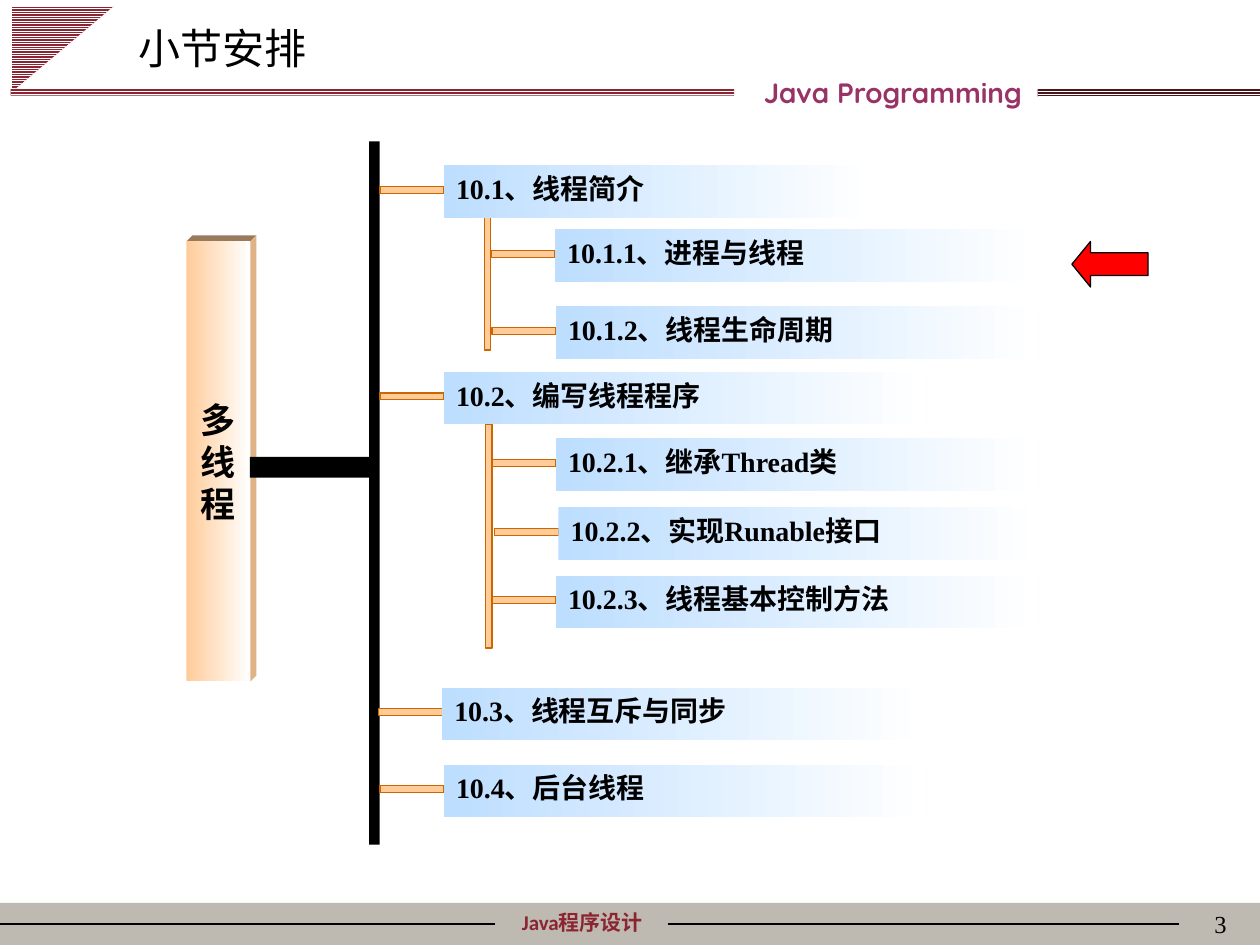
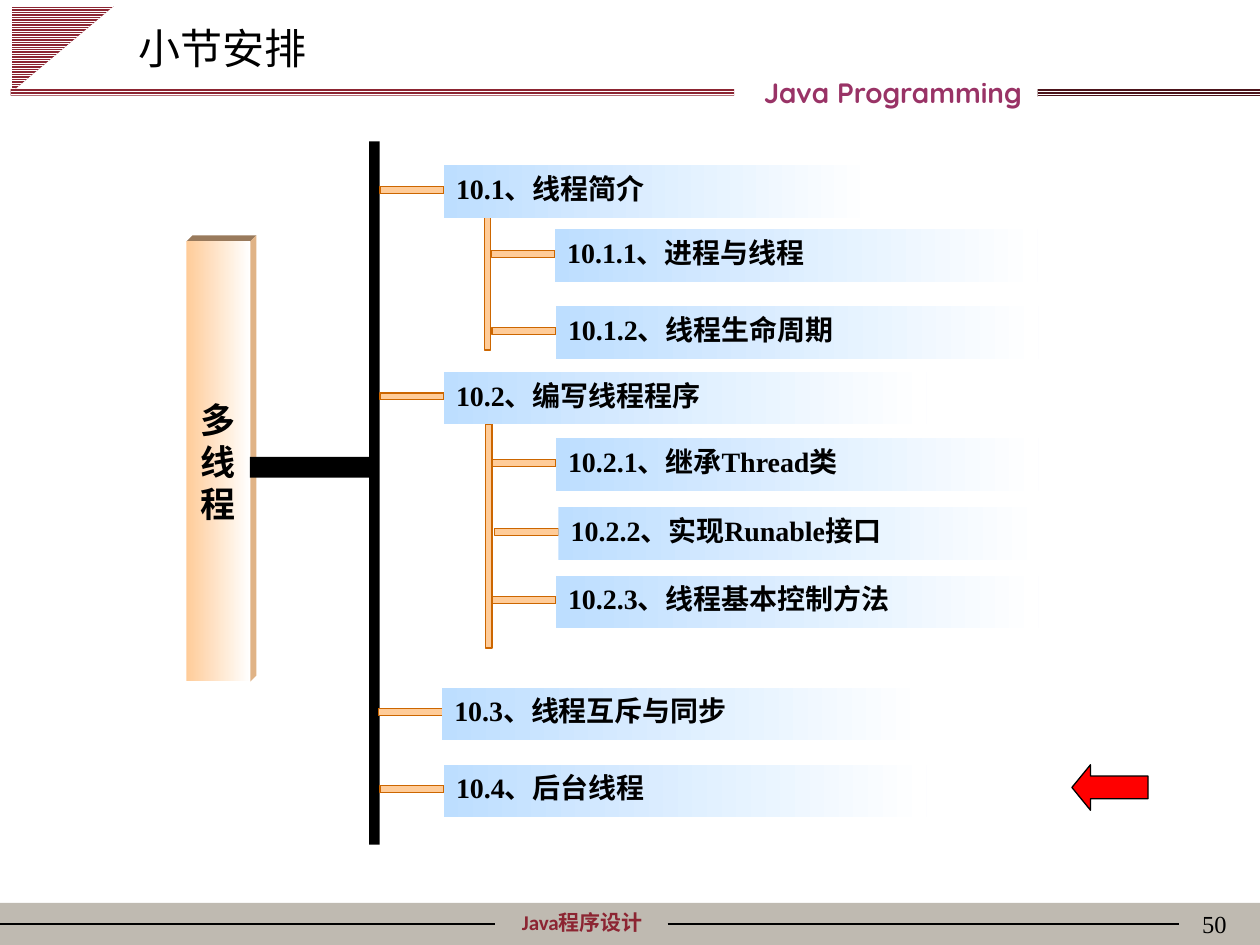
from dataclasses import dataclass

from lxml import etree
from pptx import Presentation
from pptx.dml.color import RGBColor
from pptx.enum.dml import MSO_PATTERN
from pptx.enum.lang import MSO_LANGUAGE_ID
from pptx.enum.shapes import MSO_CONNECTOR, MSO_SHAPE
from pptx.enum.text import MSO_ANCHOR, MSO_AUTO_SIZE, PP_ALIGN
from pptx.oxml.ns import qn
from pptx.util import Pt

RECT, ARROW, TRIANGLE = MSO_SHAPE.RECTANGLE, MSO_SHAPE.LEFT_ARROW, MSO_SHAPE.RIGHT_TRIANGLE
LEFT, CENTER, RIGHT, JUSTIFY = PP_ALIGN.LEFT, PP_ALIGN.CENTER, PP_ALIGN.RIGHT, PP_ALIGN.JUSTIFY
TOP, MIDDLE = MSO_ANCHOR.TOP, MSO_ANCHOR.MIDDLE
STRAIGHT = MSO_CONNECTOR.STRAIGHT
STRIPES = MSO_PATTERN.LIGHT_HORIZONTAL
NO_AUTOFIT = MSO_AUTO_SIZE.NONE
CHINESE = MSO_LANGUAGE_ID.SIMPLIFIED_CHINESE

BLACK = RGBColor(0x00, 0x00, 0x00)
WHITE = RGBColor(0xFF, 0xFF, 0xFF)
RED = RGBColor(0xFF, 0x00, 0x00)
WINE = RGBColor(0x8C, 0x25, 0x32)
DARK_WINE = RGBColor(0x4C, 0x14, 0x1B)
PLUM = RGBColor(0x99, 0x33, 0x66)
GREY = RGBColor(0xBF, 0xBA, 0xB1)
PEACH = RGBColor(0xFF, 0xCC, 0x99)
ORANGE = RGBColor(0xCC, 0x66, 0x00)
ROOT_TOP = RGBColor(0x99, 0x7A, 0x5C)
ROOT_SIDE = RGBColor(0xE0, 0xB3, 0x86)
SKY = RGBColor(0xBD, 0xDE, 0xFF)

SERIF, SANS, CJK, BRANDING = "Times New Roman", "Calibri", "Noto Sans CJK SC", "Quicksand"


@dataclass(frozen=True)
class Box:
    left: float
    top: float
    width: float
    height: float

    def lengths(self) -> tuple:
        return Pt(self.left), Pt(self.top), Pt(self.width), Pt(self.height)


@dataclass(frozen=True)
class Style:
    font: str
    size: float
    color: RGBColor = BLACK
    bold: bool = True
    align: int = LEFT


@dataclass(frozen=True)
class Topic:
    text: str
    left: float
    top: float
    width: float = 276


@dataclass(frozen=True)
class Agenda:
    page: str
    arrow_top: float


TITLE = Style(CJK, 24, bold=False)
FOOTER = Style(SANS, 12, WINE, align=CENTER)
COURSE = Style(BRANDING, 16, PLUM, align=CENTER)
PAGE = Style(SERIF, 14, bold=False, align=RIGHT)
ROOT = Style(SERIF, 20, align=CENTER)
TOPIC = Style(SERIF, 16, align=JUSTIFY)

TOPICS = [
    Topic("10.1、线程简介", 253.5, 94.5, 245.5),
    Topic("10.1.1、进程与线程", 317, 131),
    Topic("10.1.2、线程生命周期", 317.5, 175),
    Topic("10.2、编写线程程序", 253.5, 212.5),
    Topic("10.2.1、继承Thread类", 317.5, 250.5),
    Topic("10.2.2、实现Runable接口", 319, 290),
    Topic("10.2.3、线程基本控制方法", 317.5, 329),
    Topic("10.3、线程互斥与同步", 252.5, 393),
    Topic("10.4、后台线程", 253.5, 437),
]
SUB_SPINES = [Box(276.75, 123, 3.6, 77), Box(277.5, 242.25, 3.6, 128)]
ROOT_BOX = Box(106.5, 138, 36.5, 251.5)
DEPTH = 3.5
AGENDAS = [Agenda("3", 138), Agenda("50", 437)]


def put_text(shape, text: str, style: Style, anchor: int = TOP) -> None:
    tf = shape.text_frame
    tf.text = text
    tf.word_wrap = True
    tf.auto_size = NO_AUTOFIT
    tf.vertical_anchor = anchor
    p = tf.paragraphs[0]
    p.alignment = style.align
    font = p.runs[0].font
    font.name, font.size, font.bold = style.font, Pt(style.size), style.bold
    font.color.rgb = style.color
    font.language_id = CHINESE


def add_label(s, box: Box, text: str, style: Style) -> None:
    put_text(s.shapes.add_textbox(*box.lengths()), text, style)


def add_plain(s, box: Box, kind: int = RECT):
    sp = s.shapes.add_shape(kind, *box.lengths())
    sp.shadow.inherit = False
    sp.line.fill.background()
    return sp


def add_solid(s, box: Box, fill: RGBColor, line: RGBColor | None = None, kind: int = RECT):
    sp = add_plain(s, box, kind)
    sp.fill.solid()
    sp.fill.fore_color.rgb = fill
    if line is not None:
        sp.line.color.rgb = line
        sp.line.width = Pt(0.75)
    return sp


def add_striped(s, box: Box, color: RGBColor, kind: int = RECT):
    sp = add_plain(s, box, kind)
    sp.fill.patterned()
    sp.fill.pattern = STRIPES
    sp.fill.fore_color.rgb = WHITE
    sp.fill.back_color.rgb = color
    return sp


def add_faded(s, box: Box, color: RGBColor):
    sp = add_plain(s, box)
    sp.fill.gradient()
    sp.fill.gradient_angle = 0
    for stop, rgb in zip(sp.fill.gradient_stops, (color, WHITE)):
        stop.color.rgb = rgb
    return sp


def add_face(s, points: list[tuple[float, float]], color: RGBColor) -> None:
    corners = [(Pt(x), Pt(y)) for x, y in points]
    builder = s.shapes.build_freeform(*corners[0])
    builder.add_line_segments(corners[1:], close=True)
    sp = builder.convert_to_shape()
    sp.shadow.inherit = False
    sp.fill.solid()
    sp.fill.fore_color.rgb = color
    sp.line.fill.background()


def add_rule(s, x1: float, x2: float, y: float) -> None:
    line = s.shapes.add_connector(STRAIGHT, Pt(x1), Pt(y), Pt(x2), Pt(y))
    line.line.color.rgb = BLACK
    line.line.width = Pt(0.75)
    etree.SubElement(line._element.spPr, qn("a:effectLst"))


def add_frame(s, title: str, page: str) -> None:
    # Footer band
    add_solid(s, Box(0, 516, 720, 24), GREY)
    add_label(s, Box(260.5, 516, 144.5, 21.5), "Java程序设计", FOOTER)
    add_rule(s, 0, 283, 528)
    add_rule(s, 381.5, 674, 528)
    add_label(s, Box(558, 516, 150, 36), page, PAGE)

    # Striped header
    add_striped(s, Box(11.5, -1.25, 49, 58.25), WINE, TRIANGLE).rotation = 90
    add_striped(s, Box(593, 51, 127, 4.25), DARK_WINE)
    add_striped(s, Box(6, 51, 413.5, 3.75), WINE)
    add_label(s, Box(366, 39.5, 288.5, 26.5), "Java Programming", COURSE)

    # Title
    sp = s.shapes.title
    sp.left, sp.top, sp.width, sp.height = Box(72, 9.5, 205, 36).lengths()
    put_text(sp, title, TITLE)


def add_root(s) -> None:
    left, top = ROOT_BOX.left, ROOT_BOX.top
    right, bottom = left + ROOT_BOX.width, top + ROOT_BOX.height
    back_right, back_top = right + DEPTH, top - DEPTH
    add_face(s, [(left, top), (left + DEPTH, back_top), (back_right, back_top), (right, top)],
             ROOT_TOP)
    add_face(s, [(right, top), (back_right, back_top), (back_right, bottom - DEPTH),
                 (right, bottom)], ROOT_SIDE)
    put_text(add_faded(s, ROOT_BOX, PEACH), "多线程", ROOT, MIDDLE)


def add_topic(s, topic: Topic) -> None:
    add_solid(s, Box(topic.left - 36.25, topic.top + 12, 36.5, 4), PEACH, ORANGE)
    box = Box(topic.left, topic.top, topic.width, 30)
    put_text(add_faded(s, box, SKY), topic.text, TOPIC)


def add_agenda(prs, agenda: Agenda) -> None:
    s = prs.slides.add_slide(prs.slide_layouts[5])
    add_frame(s, "小节安排", agenda.page)

    # Topic tree
    add_root(s)
    add_solid(s, Box(142.75, 261, 72, 12), BLACK)
    add_solid(s, Box(211, 80.75, 6, 402), BLACK)
    for spine in SUB_SPINES:
        add_solid(s, spine, PEACH, ORANGE)
    for topic in TOPICS:
        add_topic(s, topic)

    # Current topic marker
    sp = add_solid(s, Box(612.5, agenda.arrow_top, 43.5, 26), RED, BLACK, ARROW)
    sp.adjustments[0], sp.adjustments[1] = 0.5, 0.41


def main() -> None:
    prs = Presentation()
    prs.slide_width, prs.slide_height = Pt(720), Pt(540)
    for agenda in AGENDAS:
        add_agenda(prs, agenda)
    prs.save("out.pptx")


if __name__ == "__main__":
    main()
